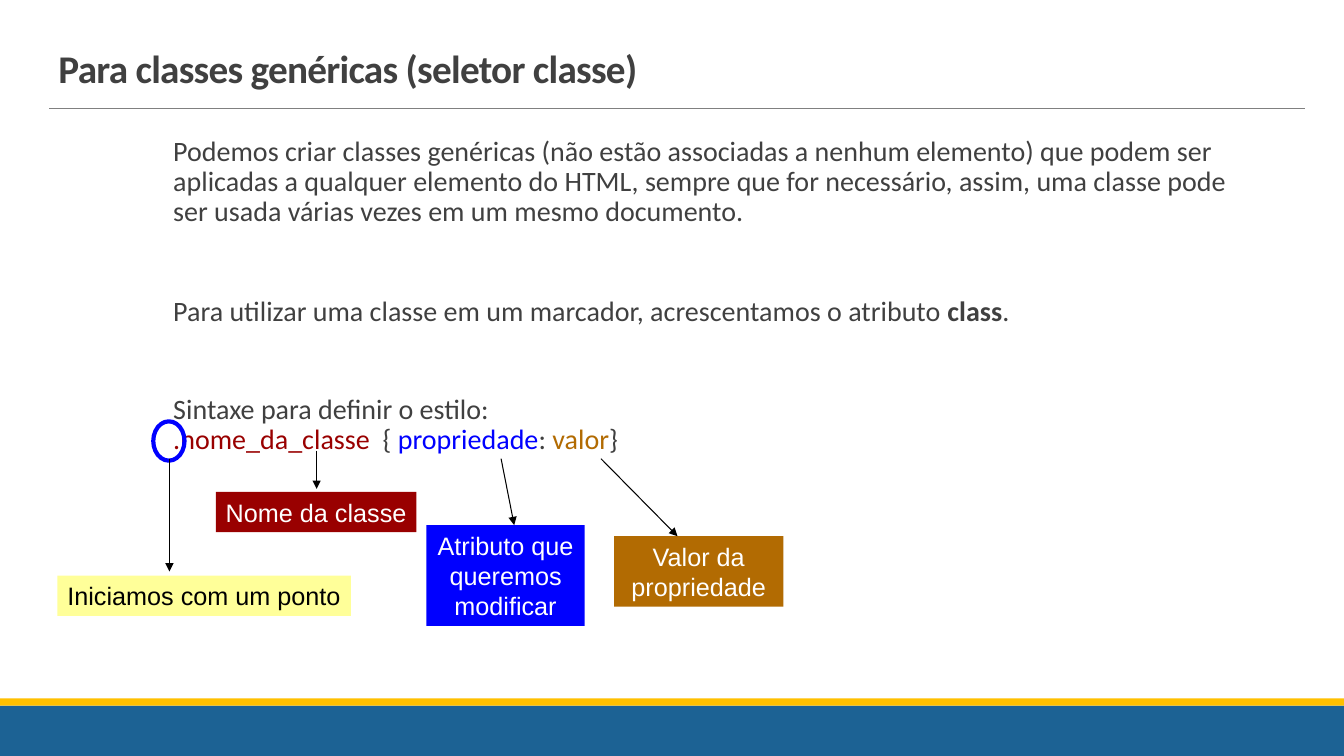
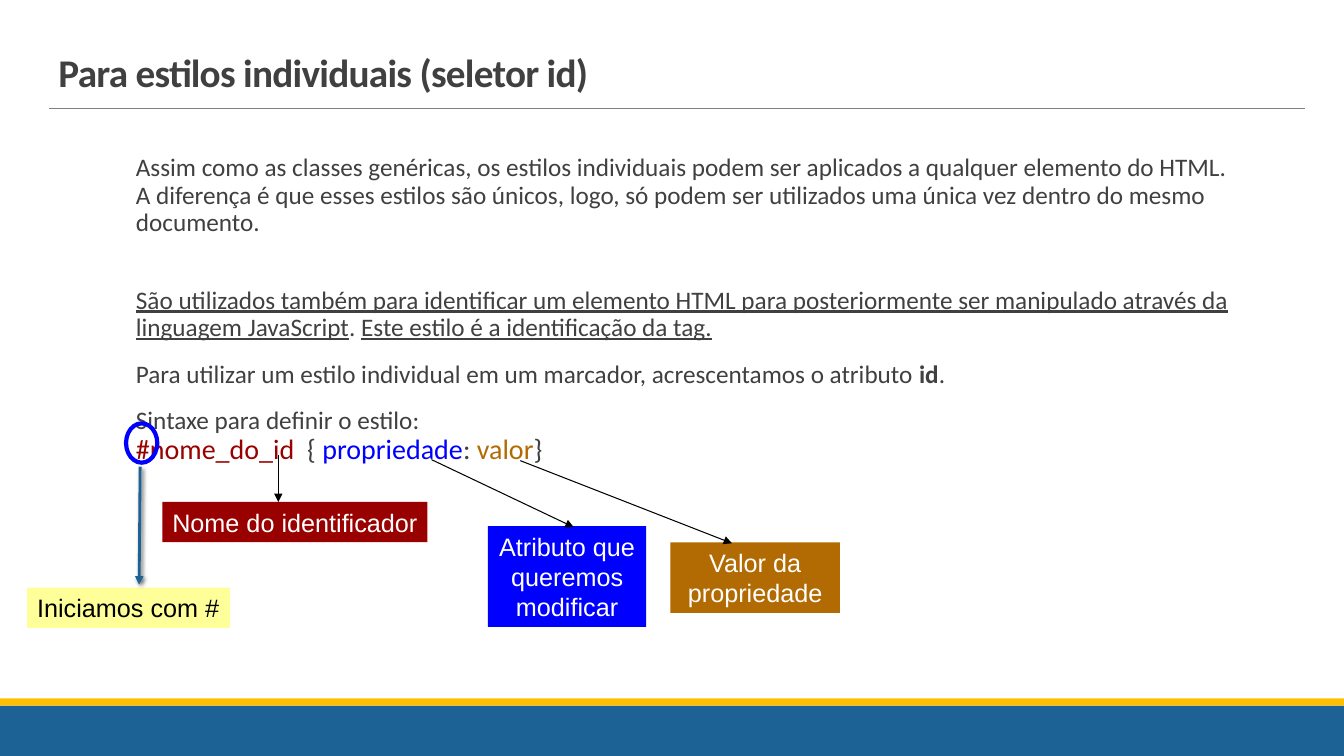
from pptx import Presentation
from pptx.dml.color import RGBColor
from pptx.enum.shapes import MSO_CONNECTOR, MSO_SHAPE
from pptx.enum.text import MSO_ANCHOR, MSO_AUTO_SIZE, PP_ALIGN
from pptx.oxml import parse_xml
from pptx.oxml.ns import nsdecls
from pptx.util import Inches, Pt

COLORS = {
    "text": "404040", "rule": "808080", "band": "1C6294", "accent": "FFC000",
    "selector": "990000", "property": "0000FF", "value": "B26B02",
    "symbol": "FFFF99", "black": "000000", "white": "FFFFFF",
}
SHADOW = ('<a:outerShdw blurRad="38100" dist="25400" dir="2700000">'
          '<a:srgbClr val="000000"><a:alpha val="60000"/></a:srgbClr></a:outerShdw>')


def rgb(name):
    return RGBColor.from_string(COLORS[name])


class Deck:
    def __init__(self):
        self.prs = Presentation()
        self.prs.slide_width, self.prs.slide_height = Inches(13.33), Inches(7.5)
        self.s = None

    def slide(self, title, top):
        self.s = self.prs.slides.add_slide(self.prs.slide_layouts[5])
        self.shape((0, 7, 13.33, 0.5), "band")
        self.shape((0, 6.93, 13.33, 0.07), "accent")
        self.line((0.49, 1.08), (12.94, 1.08), "rule", 0.5)
        sp = self.s.shapes.title
        self.place(sp, (0.48, top, 9.61, 0.64))
        tf = sp.text_frame
        self.format(tf, {"auto_size": MSO_AUTO_SIZE.NONE, "word_wrap": True,
                         "vertical_anchor": MSO_ANCHOR.BOTTOM})
        p = tf.paragraphs[0]
        self.format(p, {"alignment": PP_ALIGN.LEFT, "line_spacing": 0.85})
        r = self.run(p, title, size=28, bold=True)
        r.font._element.set("spc", "-50")

    def format(self, target, values):
        for name, value in values.items():
            setattr(target, name, value)

    def place(self, sp, box):
        names = ("left", "top", "width", "height")
        self.format(sp, dict(zip(names, map(Inches, box))))

    def run(self, p, text, size, color="text", font="Calibri", **style):
        r = p.add_run()
        r.text = text
        self.format(r.font, {"name": font, "size": Pt(size), **style})
        r.font.color.rgb = rgb(color)
        return r

    def shape(self, box, fill=None, kind=MSO_SHAPE.RECTANGLE):
        sp = self.s.shapes.add_shape(kind, *map(Inches, box))
        sp.shadow.inherit = False
        if fill:
            sp.fill.solid()
            sp.fill.fore_color.rgb = rgb(fill)
        else:
            sp.fill.background()
        sp.line.fill.background()
        return sp

    def ring(self, left, top):
        sp = self.shape((left, top, 0.31, 0.39), kind=MSO_SHAPE.OVAL)
        sp.line.color.rgb = rgb("property")
        sp.line.width = Pt(3)

    def line(self, start, end, color="black", width=0.75, arrow=False, shadow=""):
        c = self.s.shapes.add_connector(MSO_CONNECTOR.STRAIGHT, *map(Inches, start + end))
        c.line.color.rgb = rgb(color)
        c.line.width = Pt(width)
        if arrow:
            c.line._get_or_add_ln().append(
                parse_xml(f'<a:tailEnd {nsdecls("a")} type="triangle"/>'))
        c._element.spPr.append(
            parse_xml(f'<a:effectLst {nsdecls("a")}>{shadow}</a:effectLst>'))

    def label(self, text, box, fill, color="white", align=PP_ALIGN.CENTER, wrap=False):
        tf = self.shape(box, fill).text_frame
        tf.word_wrap = wrap
        p = tf.paragraphs[0]
        p.alignment = align
        self.run(p, text, 18, color, "Arial")

    def body(self, box, size, paragraphs):
        """Each paragraph is (space before, runs); a run is (text, format), None a line break."""
        tf = self.s.shapes.add_textbox(*map(Inches, box)).text_frame
        self.format(tf, {"word_wrap": True, "margin_left": Inches(0.1), "margin_right": 0})
        for i, (before, runs) in enumerate(paragraphs):
            p = tf.add_paragraph() if i else tf.paragraphs[0]
            self.format(p, {"line_spacing": 0.9, "space_before": Pt(before),
                            "space_after": Pt(2)})
            for item in runs:
                if item is None:
                    p.add_line_break()
                else:
                    text, style = item
                    self.run(p, text, **{"size": size, **style})

    def callouts(self, symbol, selector, prop, value):
        """Each argument is (label text, label box, arrow start, arrow end, arrow style)."""
        looks = (
            (value, {"fill": "value", "wrap": True}),
            (prop, {"fill": "property", "wrap": True}),
            (selector, {"fill": "selector"}),
            (symbol, {"fill": "symbol", "color": "black", "align": PP_ALIGN.LEFT}),
        )
        for (text, box, start, end, style), look in looks:
            self.label(text, box, **look)
            self.line(start, end, arrow=True, **style)


def syntax(selector):
    """Runs of the closing paragraph: heading, line break and coloured CSS rule."""
    parts = ((selector, "selector"), ("  { ", "text"), ("propriedade", "property"),
             (": ", "text"), ("valor", "value"), ("}", "text"))
    return [("Sintaxe para definir o estilo:", {}), None,
            *((text, {"size": 20, "color": color}) for text, color in parts)]


def main():
    deck = Deck()
    bold, underline = {"bold": True}, {"underline": True}
    prop_text, value_text = "Atributo que queremos modificar", "Valor da propriedade"

    deck.slide("Para classes genéricas (seletor classe)", 0.32)
    deck.body((1.62, 1.31, 10.84, 5.37), 20, [
        (0, [("Podemos criar classes genéricas (não estão associadas a nenhum elemento) "
              "que podem ser aplicadas a qualquer elemento do HTML, sempre que for "
              "necessário, assim, uma classe pode ser usada várias vezes em um mesmo "
              "documento.", {})]),
        (48, [("Para utilizar uma classe em um marcador, acrescentamos o atributo ", {}),
              ("class", bold), (".", {})]),
        (46, syntax(".nome_da_classe")),
    ])
    deck.ring(1.52, 4.18)
    deck.callouts(
        symbol=("Iniciamos com um ponto", (0.57, 5.71, 2.91, 0.4),
                (1.68, 4.55), (1.68, 5.67), {}),
        selector=("Nome da classe", (2.14, 4.88, 1.99, 0.4), (3.14, 4.47), (3.14, 4.85), {}),
        prop=(prop_text, (4.23, 5.21, 1.57, 1), (4.97, 4.55), (5.1, 5.21), {}),
        value=(value_text, (6.09, 5.32, 1.68, 0.7), (5.96, 4.55), (6.72, 5.32), {}),
    )

    deck.slide("Para estilos individuais (seletor id)", 0.36)
    deck.body((1.25, 1.49, 11.07, 5.41), 18, [
        (0, [("Assim como as classes genéricas, os estilos individuais podem ser aplicados "
              "a qualquer elemento do HTML. A diferença é que esses estilos são únicos, "
              "logo, só podem ser utilizados uma única vez dentro do mesmo documento.", {})]),
        (34, [("São utilizados também para identificar um elemento HTML para posteriormente "
               "ser manipulado através da linguagem JavaScript", underline), (". ", {}),
              ("Este estilo é a identificação da tag.", underline)]),
        (12, [("Para utilizar um estilo individual em um marcador, acrescentamos o atributo ",
               {}), ("id", bold), (".", {})]),
        (12, syntax("#nome_do_id")),
    ])
    deck.ring(1.25, 4.2)
    deck.callouts(
        symbol=("Iniciamos com #", (0.27, 5.83, 2.01, 0.4), (1.39, 4.63), (1.38, 5.8),
                {"color": "band", "width": 2, "shadow": SHADOW}),
        selector=("Nome do identificador", (1.61, 4.98, 2.63, 0.4),
                  (2.76, 4.51), (2.76, 4.98), {}),
        prop=(prop_text, (4.84, 5.22, 1.57, 1), (4.28, 4.56), (5.69, 5.23), {}),
        value=(value_text, (6.65, 5.38, 1.68, 0.7), (5.16, 4.57), (7.26, 5.39), {}),
    )
    deck.prs.save("out.pptx")


if __name__ == "__main__":
    main()
